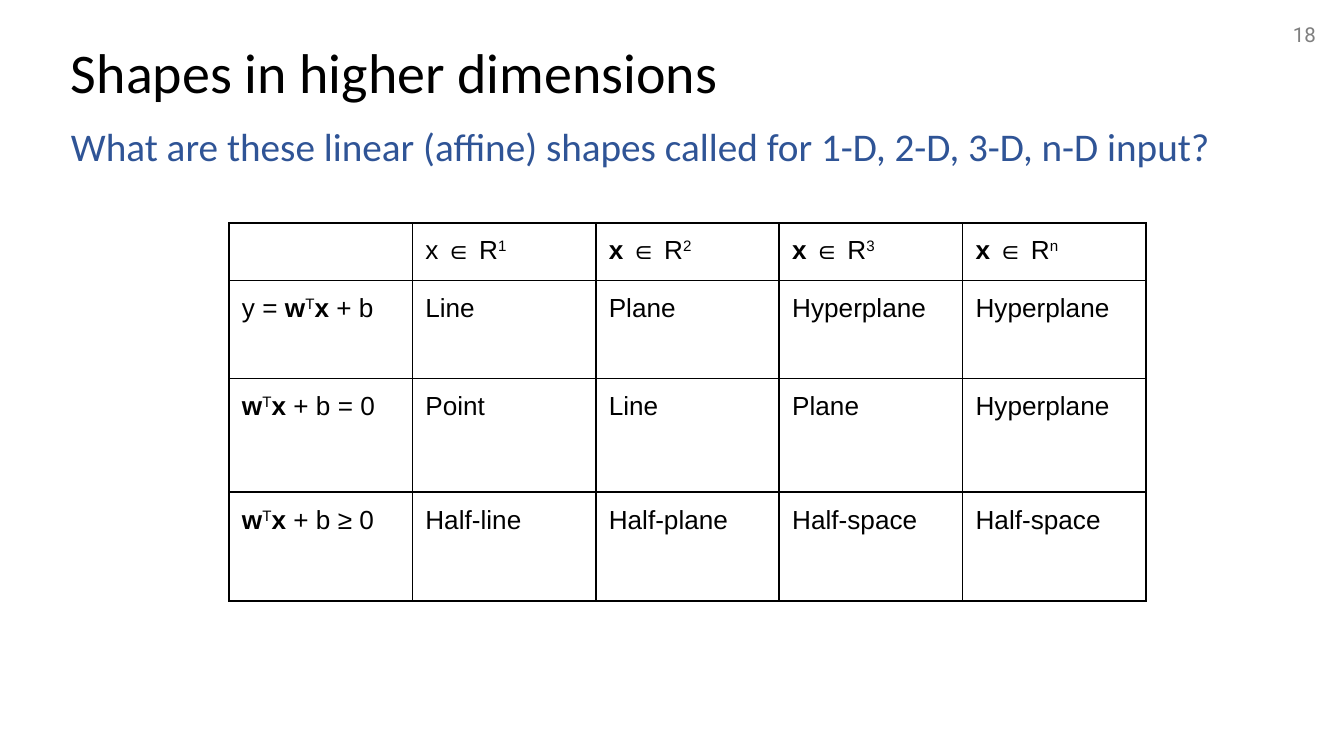
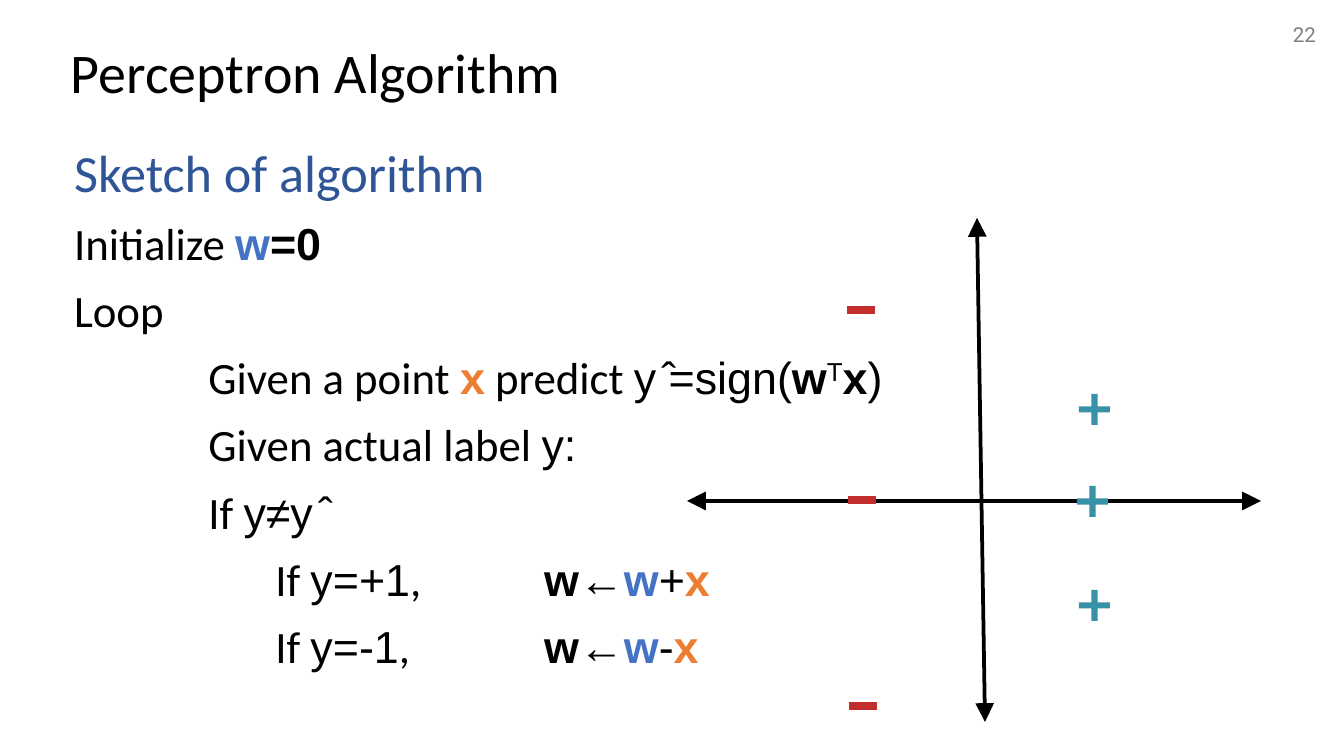
"""Build two lecture slides: a table of affine shapes and the perceptron algorithm."""
from dataclasses import dataclass
from typing import NamedTuple

import pptx
import pptx.dml.color
import pptx.enum.shapes
import pptx.enum.text
import pptx.oxml.ns
import pptx.util
from lxml import etree

EMU_PER_PX = 914400 / 134.4


@dataclass(frozen=True)
class Theme:
    heading_font: str = "Calibri"
    math_font: str = "Arial"
    number_font: str = "Roboto"
    ink: str = "000000"
    grey: str = "7F7F7F"
    question: str = "2F5496"
    sketch: str = "2F5597"
    weight: str = "4472C4"
    point: str = "ED7D31"
    positive: str = "3891A7"
    negative: str = "C32D2E"
    title_size: int = 30
    sketch_size: int = 28
    step_size: int = 24
    question_size: int = 21
    cell_size: int = 14
    number_size: int = 11
    border_width: int = 1
    axis_width: int = 2
    minus_width: float = 4.75
    step_gap: int = 10
    tab_inches: int = 1
    line_spacing: float = 0.9


THEME = Theme()


class Run(NamedTuple):
    text: str
    font: str = THEME.math_font
    color: str = THEME.ink
    bold: bool = False
    raised: bool = False


def px(length):
    return pptx.util.Emu(round(length * EMU_PER_PX))


def rgb(color):
    return pptx.dml.color.RGBColor.from_string(color)


def prose(text, color=THEME.ink):
    return Run(text, THEME.heading_font, color)


def vector(name, color=THEME.ink):
    return Run(name, color=color, bold=True)


def raised(text):
    return Run(text, raised=True)


W_T_X = [vector("w"), raised("T"), vector("x")]


def write_runs(paragraph, runs, size):
    for part in runs:
        run = paragraph.add_run()
        run.text = part.text
        run.font.name = part.font
        run.font.size = pptx.util.Pt(size)
        run.font.bold = part.bold
        run.font.color.rgb = rgb(part.color)
        if part.raised:
            run.font._element.set("baseline", "30000")


def add_text_frame(slide, box, insets, anchor=pptx.enum.text.MSO_ANCHOR.TOP):
    frame = slide.shapes.add_textbox(*map(px, box)).text_frame
    frame.word_wrap = True
    frame.vertical_anchor = anchor
    frame.margin_left = frame.margin_right = px(insets[0])
    frame.margin_top = frame.margin_bottom = px(insets[1])
    return frame


def add_line_of_text(slide, box, run, size, **frame_options):
    paragraph = add_text_frame(slide, box, (10, 5), **frame_options).paragraphs[0]
    paragraph.line_spacing = THEME.line_spacing
    write_runs(paragraph, [run], size)


def add_titled_slide(deck, title, number):
    slide = deck.slides.add_slide(deck.slide_layouts[6])
    page = add_text_frame(slide, (1255, 15, 74, 39), (13, 7)).paragraphs[0]
    page.alignment = pptx.enum.text.PP_ALIGN.RIGHT
    write_runs(page, [Run(number, THEME.number_font, THEME.grey)], THEME.number_size)
    add_line_of_text(slide, (61, 40, 1159, 70), prose(title), THEME.title_size,
                     anchor=pptx.enum.text.MSO_ANCHOR.MIDDLE)
    return slide


def add_borders(cell):
    properties = cell._tc.get_or_add_tcPr()
    qn = pptx.oxml.ns.qn
    for side in ("lnL", "lnR", "lnT", "lnB"):
        edge = etree.SubElement(properties, qn(f"a:{side}"),
                                w=str(pptx.util.Pt(THEME.border_width)))
        fill = etree.SubElement(edge, qn("a:solidFill"))
        etree.SubElement(fill, qn("a:srgbClr"), val=THEME.ink)


def fill_cell(cell, runs):
    cell.margin_left = cell.margin_right = px(13)
    cell.margin_top = cell.margin_bottom = px(13)
    add_borders(cell)
    cell.fill.background()
    paragraph = cell.text_frame.paragraphs[0]
    write_runs(paragraph, runs, THEME.cell_size)
    if not runs:
        etree.SubElement(paragraph._p, pptx.oxml.ns.qn("a:endParaRPr"),
                         sz=str(THEME.cell_size * 100))


def add_grid(slide, left, top, width, row_heights, rows):
    columns = len(rows[0])
    grid = slide.shapes.add_table(len(rows), columns, px(left), px(top),
                                  px(width), px(sum(row_heights))).table
    grid.first_row = grid.horz_banding = False
    for column in grid.columns:
        column.width = px(width / columns)
    for row, height, contents in zip(grid.rows, row_heights, rows):
        row.height = px(height)
        for cell, runs in zip(row.cells, contents):
            fill_cell(cell, runs)


def add_line(slide, start, end, color, width, arrows=False):
    line = slide.shapes.add_connector(pptx.enum.shapes.MSO_CONNECTOR.STRAIGHT,
                                      *map(px, start + end))
    line.line.color.rgb = rgb(color)
    line.line.width = pptx.util.Pt(width)
    qn = pptx.oxml.ns.qn
    if arrows:
        outline = line.line._get_or_add_ln()
        for tip in ("headEnd", "tailEnd"):
            etree.SubElement(outline, qn(f"a:{tip}"), type="triangle", w="lg", len="lg")
    etree.SubElement(line._element.spPr, qn("a:effectLst"))


def add_plus(slide, left, top):
    plus = slide.shapes.add_shape(pptx.enum.shapes.MSO_SHAPE.CROSS,
                                  px(left), px(top), px(31), px(31))
    plus.adjustments[0] = 0.4
    plus.shadow.inherit = False
    plus.fill.solid()
    plus.fill.fore_color.rgb = rgb(THEME.positive)
    plus.line.fill.background()


def add_steps(slide, box, steps):
    frame = add_text_frame(slide, box, (13, 13))
    for index, (size, indent, runs) in enumerate(steps):
        step = frame.add_paragraph() if index else frame.paragraphs[0]
        step.line_spacing = THEME.line_spacing
        step.space_before = pptx.util.Pt(THEME.step_gap)
        layout = step._p.get_or_add_pPr()
        layout.set("marL", str(px(indent)))
        layout.set("indent", "0")
        layout.set("defTabSz", str(pptx.util.Inches(THEME.tab_inches)))
        write_runs(step, runs, size)


def update_step(label, sign):
    return [prose("\tIf "), Run(f"y={label}1"), prose(",\t"), vector("w"), Run("←"),
            vector("w", THEME.weight), Run(sign), vector("x", THEME.point)]


def build_shapes_slide(deck):
    slide = add_titled_slide(deck, "Shapes in higher dimensions", "18")
    question = "What are these linear (affine) shapes called for 1-D, 2-D, 3-D, n-D input?"
    add_line_of_text(slide, (61, 123, 1251, 224), prose(question, THEME.question),
                     THEME.question_size)
    spaces = [[Run("x ∈ R"), raised("1")]]
    spaces += [[vector("x"), Run(" ∈ R"), raised(power)] for power in "23n"]
    shapes = [
        ([Run("y = "), *W_T_X, Run(" + b")], ["Line", "Plane", "Hyperplane", "Hyperplane"]),
        ([*W_T_X, Run(" + b = 0")], ["Point", "Line", "Plane", "Hyperplane"]),
        ([*W_T_X, Run(" + b ≥ 0")], ["Half-line", "Half-plane", "Half-space", "Half-space"]),
    ]
    rows = [[[], *spaces]]
    rows += [[formula, *([Run(name)] for name in names)] for formula, names in shapes]
    add_grid(slide, 229, 223, 917, (52, 98, 114, 109), rows)


def build_perceptron_slide(deck):
    slide = add_titled_slide(deck, "Perceptron Algorithm", "22")
    for start, end in (((687, 501), (1261, 501)), ((985, 722), (977, 218))):
        add_line(slide, start, end, THEME.ink, THEME.axis_width, arrows=True)
    for left, top in ((1079, 590), (1077, 486), (1079, 394)):
        add_plus(slide, left, top)
    for left, height in ((849, 706), (847, 310), (848, 500)):
        add_line(slide, (left, height), (left + 28, height),
                 THEME.negative, THEME.minus_width)
    instructions = [
        (0, [prose("Initialize "), vector("w", THEME.weight), vector("=0")]),
        (0, [prose("Loop")]),
        (0, [prose("\tGiven a point "), vector("x", THEME.point), prose(" predict "),
             Run("y ̂=sign("), *W_T_X, Run(")")]),
        (0, [prose("\tGiven actual label "), Run("y:")]),
        (0, [prose("\tIf "), Run("y≠y ̂")]),
        (67, update_step("+", "+")),
        (67, update_step("-", "-")),
    ]
    steps = [(THEME.sketch_size, 0, [prose("Sketch of algorithm", THEME.sketch)])]
    steps += [(THEME.step_size, indent, runs) for indent, runs in instructions]
    add_steps(slide, (61, 134, 1243, 622), steps)


def main():
    deck = pptx.Presentation()
    deck.slide_width, deck.slide_height = px(1344), px(756)
    build_shapes_slide(deck)
    build_perceptron_slide(deck)
    deck.save("out.pptx")


if __name__ == "__main__":
    main()
